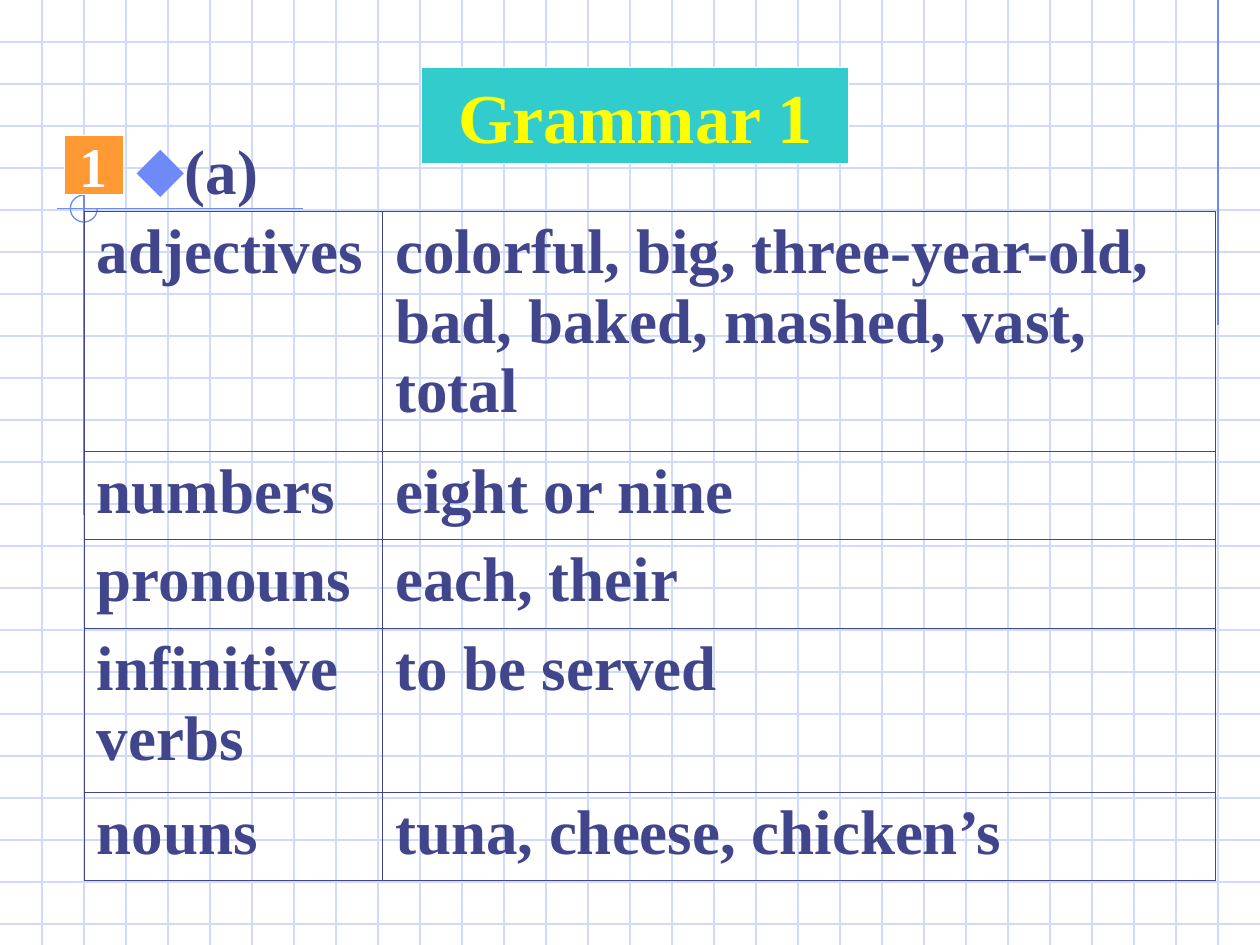
from lxml import etree
from pptx import Presentation
from pptx.dml.color import RGBColor
from pptx.enum.shapes import MSO_CONNECTOR, MSO_SHAPE
from pptx.enum.text import MSO_ANCHOR, MSO_AUTO_SIZE, PP_ALIGN
from pptx.oxml.ns import qn
from pptx.util import Pt

STRAIGHT = MSO_CONNECTOR.STRAIGHT
RECTANGLE, ARC = MSO_SHAPE.RECTANGLE, MSO_SHAPE.ARC
TOP, MIDDLE = MSO_ANCHOR.TOP, MSO_ANCHOR.MIDDLE
LEFT, CENTER = PP_ALIGN.LEFT, PP_ALIGN.CENTER
NO_AUTOFIT = MSO_AUTO_SIZE.NONE

COLORS = {"grid": "CFDBFD", "accent": "6F89F7", "text": "40458C",
          "banner": "33CCCC", "heading": "FFFF00",
          "badge": "FF9933", "white": "FFFFFF"}
WIDTH, HEIGHT, GRID_STEP = 720, 540, 24


def rgb(name):
    return RGBColor.from_string(COLORS[name])


def write(frame, text, size, color, align=LEFT):
    paragraph = frame.paragraphs[0]
    paragraph.text = text
    paragraph.alignment = align
    paragraph.space_before = Pt(0)
    font = paragraph.runs[0].font
    for attribute, value in {"name": "Times New Roman", "size": Pt(size),
                             "bold": True}.items():
        setattr(font, attribute, value)
    font.color.rgb = rgb(color)


prs = Presentation()
prs.slide_width, prs.slide_height = Pt(WIDTH), Pt(HEIGHT)
slide = prs.slides.add_slide(prs.slide_layouts[1])
shapes = slide.shapes

# Squared paper and the accent rules on it
rules = [(0, y, WIDTH, y, "grid") for y in range(GRID_STEP, HEIGHT, GRID_STEP)]
rules += [(x, 0, x, HEIGHT, "grid") for x in range(GRID_STEP, WIDTH, GRID_STEP)]
rules += [(696, 0, 696, 186, "accent"),
          (173, 119.2, 32.5, 119.2, "accent"),
          (48, 111.5, 48, 294.5, "accent")]
for x1, y1, x2, y2, color in rules:
    rule = shapes.add_connector(STRAIGHT, Pt(x1), Pt(y1), Pt(x2), Pt(y2))
    rule.line.color.rgb = rgb(color)
    rule.line.width = Pt(0.75)
    etree.SubElement(rule.element.spPr, qn("a:effectLst"))

# Three-quarter ring where the accent rules cross
ring = shapes.add_shape(ARC, Pt(40.2), Pt(111.5), Pt(15.4), Pt(15.4))
ring.adjustments[0], ring.adjustments[1] = 0, 162  # right end round to the top
ring.shadow.inherit = False
ring.fill.background()
ring.line.color.rgb = rgb("accent")
ring.line.width = Pt(0.75)

# Part label with a diamond bullet
part = slide.placeholders[1]
part.element.getparent().append(part.element)  # in front of the grid
part.left, part.top, part.width, part.height = Pt(70.6), Pt(71.3), Pt(96.5), Pt(50.4)
part.text_frame.auto_size = NO_AUTOFIT
bullet = part.text_frame.paragraphs[0]._p.get_or_add_pPr()
bullet.set("marL", str(Pt(27)))
bullet.set("indent", str(Pt(-27)))
bullet_color = etree.SubElement(bullet, qn("a:buClr"))
etree.SubElement(bullet_color, qn("a:srgbClr"), val=COLORS["accent"])
etree.SubElement(bullet, qn("a:buSzPct"), val="110000")
etree.SubElement(bullet, qn("a:buChar"), char="⬥")
write(part.text_frame, "(a)", 36, "text")

# Modifier table
modifiers = [
    ("adjectives", "colorful, big, three-year-old, bad, baked, mashed, vast, total", 137),
    ("numbers", "eight or nine", 50.6),
    ("pronouns", "each, their", 50.6),
    ("infinitive verbs", "to be served", 93.6),
    ("nouns", "tuna, cheese, chicken’s", 50.6),
]
table = shapes.add_table(len(modifiers), 2, Pt(48.2), Pt(120.7),
                         Pt(646.4), Pt(382.4)).table
table.first_row = table.horz_banding = False
table.columns[0].width, table.columns[1].width = Pt(170.4), Pt(476)
for row, (kind, examples, height) in zip(table.rows, modifiers):
    row.height = Pt(height)
    for cell, text in zip(row.cells, (kind, examples)):
        write(cell.text_frame, text, 36, "text")
        properties = cell._tc.get_or_add_tcPr()
        for side in ("lnL", "lnR", "lnT", "lnB"):
            border = etree.SubElement(properties, qn(f"a:{side}"), w=str(Pt(0.45)))
            border_fill = etree.SubElement(border, qn("a:solidFill"))
            etree.SubElement(border_fill, qn("a:srgbClr"), val=COLORS["text"])
        cell.fill.background()

# Heading banner and number badge
heading = shapes.title
heading.element.getparent().append(heading.element)
heading.left, heading.top, heading.width, heading.height = Pt(241), Pt(38.4), Pt(244), Pt(55.2)
badge = shapes.add_shape(RECTANGLE, Pt(36.8), Pt(77.4), Pt(33.8), Pt(33.8))
badge.shadow.inherit = False
for box, fill, text, size, color, anchor, wrap in [
        (heading, "banner", "Grammar 1", 40, "heading", TOP, True),
        (badge, "badge", "1", 32, "white", MIDDLE, False)]:
    box.fill.solid()
    box.fill.fore_color.rgb = rgb(fill)
    box.line.color.rgb = rgb("white")
    box.line.width = Pt(0.75)
    frame = box.text_frame
    for attribute, value in {"auto_size": NO_AUTOFIT, "word_wrap": wrap,
                             "vertical_anchor": anchor}.items():
        setattr(frame, attribute, value)
    write(frame, text, size, color, CENTER)

prs.save("out.pptx")
